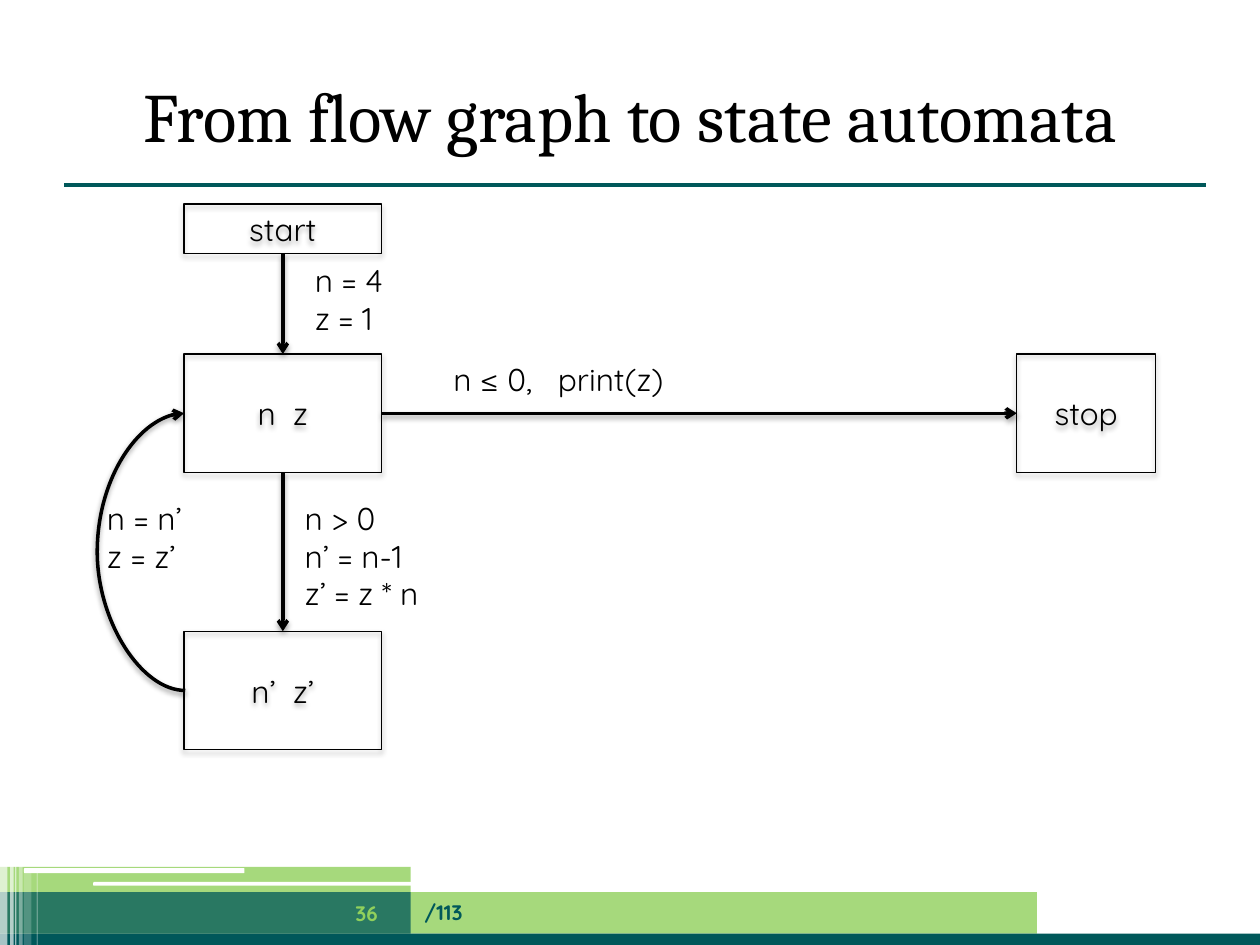
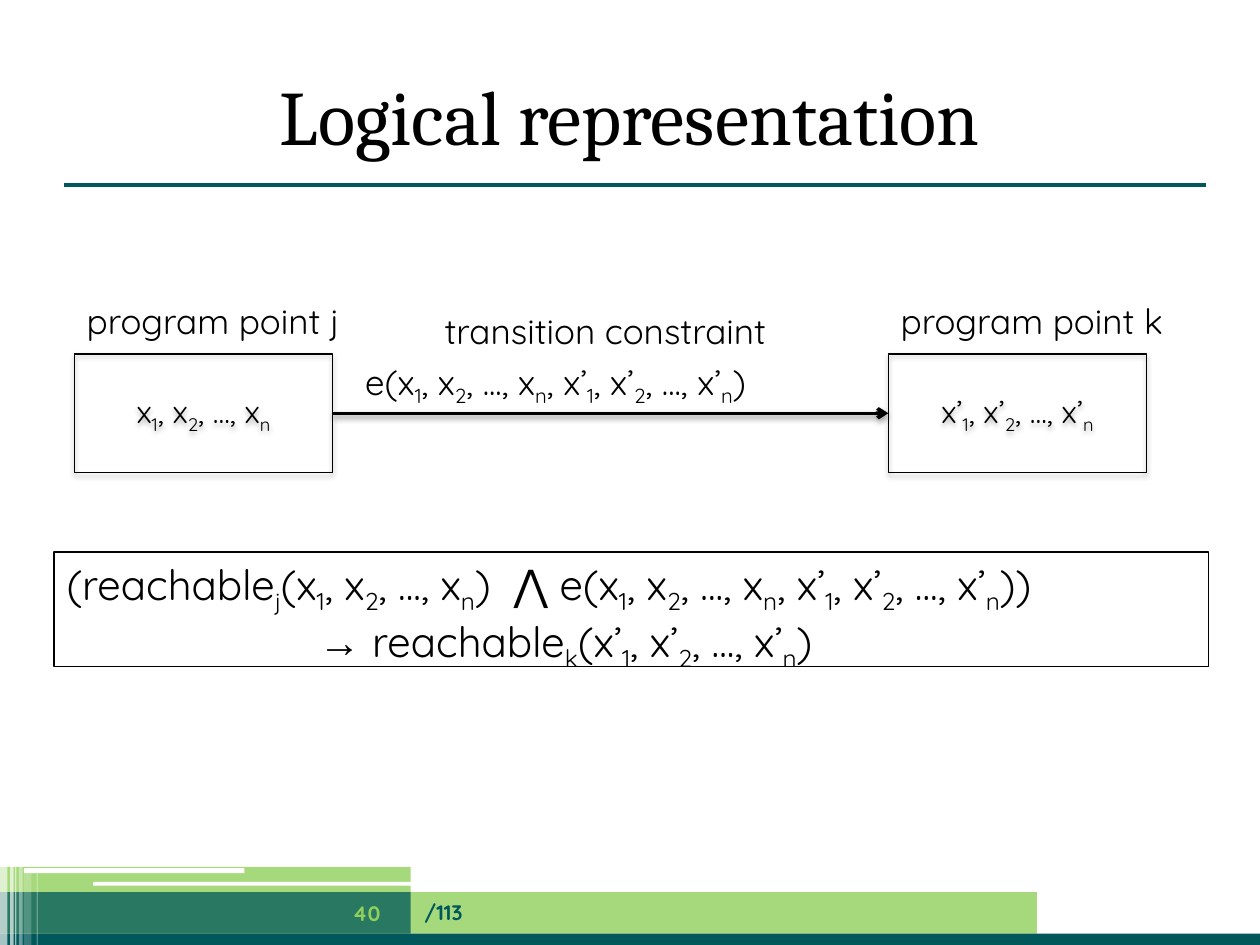
from pptx import Presentation
from pptx.dml.color import RGBColor
from pptx.enum.shapes import MSO_CONNECTOR, MSO_SHAPE
from pptx.enum.text import MSO_ANCHOR, MSO_AUTO_SIZE, PP_ALIGN
from pptx.oxml.ns import qn
from pptx.util import Inches, Pt
from lxml import etree

RECT, ROUND = MSO_SHAPE.RECTANGLE, MSO_SHAPE.ROUNDED_RECTANGLE
STRAIGHT, CURVE = MSO_CONNECTOR.STRAIGHT, MSO_CONNECTOR.CURVE
LEFT, CENTER = PP_ALIGN.LEFT, PP_ALIGN.CENTER
TOP, MIDDLE = MSO_ANCHOR.TOP, MSO_ANCHOR.MIDDLE
GROW = MSO_AUTO_SIZE.SHAPE_TO_FIT_TEXT

TEAL = RGBColor(0x00, 0x58, 0x5A)
GREEN = RGBColor(0x90, 0xD0, 0x5C)
WHITE = RGBColor(0xFF, 0xFF, 0xFF)
BLACK = RGBColor(0x00, 0x00, 0x00)

HEADING, BODY, SYMBOL = "Cambria", "Quicksand", "Arial"

BANDS = [
    (RECT, 0, 7.08, 8.23, 0.33, GREEN, 80),
    (RECT, 0, 7.41, 10, 0.09, TEAL, 100),
    (RECT, 0, 7.08, 3.26, 0.33, TEAL, 75),
    (RECT, 0, 6.88, 3.26, 0.2, GREEN, 80),
    (ROUND, 0.74, 7, 3.35, 0.03, WHITE, 100),
    (ROUND, 0.19, 6.89, 1.75, 0.04, WHITE, 100),
]
STRIPES = [(0, 6.86, 0.06, 65), (0.08, 6.86, 0.03, 65), (0.12, 6.86, 0.01, 60),
           (0.15, 6.86, 0.03, 40), (0.19, 6.9, 0.06, 20), (0.29, 6.9, 0.01, 30)]

NODE_TOP, NODE_HEIGHT = 2.81, 0.94
NODE_MIDDLE = NODE_TOP + NODE_HEIGHT / 2
STATE = "x_1, x_2, ..., x_n"
NEXT_STATE = "x’_1, x’_2, ..., x’_n"
CONSTRAINT = f"e({STATE}, {NEXT_STATE})"


def add_xml(parent, tag, **attributes):
    return etree.SubElement(parent, qn(tag), attributes)


class Deck:
    def __init__(self):
        self.prs = Presentation()
        self.prs.slide_width, self.prs.slide_height = Inches(10), Inches(7.5)
        self.s = None

    def new_slide(self, title, title_size, number):
        self.s = self.prs.slides.add_slide(self.prs.slide_layouts[6])
        for band in BANDS:
            self.band(*band)
        for x, y, w, alpha in STRIPES:
            self.band(RECT, x, y, w, 7.5 - y, WHITE, alpha)
        self.connector((0.51, 1.47), (9.57, 1.47), TEAL, 2.25)
        self.text(0.5, 0.44, 9, 0.94, [title], title_size, HEADING,
                  align=CENTER, anchor=MIDDLE)
        self.text(3.27, 7.04, 4.96, 0.4, ["/113"], 12, color=TEAL, bold=True,
                  anchor=MIDDLE)
        self.text(2.56, 7.05, 0.7, 0.4, [number], 12, color=GREEN, bold=True,
                  align=CENTER, anchor=MIDDLE)

    def shape(self, kind, x, y, w, h):
        sp = self.s.shapes.add_shape(kind, Inches(x), Inches(y), Inches(w), Inches(h))
        sp.shadow.inherit = False
        return sp

    def band(self, kind, x, y, w, h, color, alpha):
        sp = self.shape(kind, x, y, w, h)
        sp.fill.solid()
        sp.fill.fore_color.rgb = color
        sp.line.fill.background()
        if alpha < 100:
            fill = sp._element.spPr.find(qn("a:solidFill"))
            add_xml(fill[0], "a:alpha", val=str(alpha * 1000))

    def shadow(self, effects, alpha, distance):
        shadow = add_xml(effects, "a:outerShdw", blurRad="40000", dist=str(distance),
                         dir="5400000", rotWithShape="0")
        color = add_xml(shadow, "a:srgbClr", val=str(BLACK))
        add_xml(color, "a:alpha", val=str(alpha * 1000))

    def outline(self, x, y, w, h):
        sp = self.shape(RECT, x, y, w, h)
        sp.fill.background()
        sp.line.color.rgb = BLACK
        sp.line.width = Pt(0.75)
        return sp

    def node(self, x, y, w, h, label):
        sp = self.outline(x, y, w, h)
        self.shadow(sp._element.spPr.find(qn("a:effectLst")), 35, 23000)
        self.fill_frame(sp.text_frame, [label], 18, align=CENTER, anchor=MIDDLE)

    def connector(self, start, end, color=BLACK, width=2, kind=STRAIGHT):
        line = self.s.shapes.add_connector(kind, *map(Inches, start + end))
        line.line.color.rgb = color
        line.line.width = Pt(width)
        effects = add_xml(line._element.spPr, "a:effectLst")
        return line, effects

    def arrow(self, start, end, kind=STRAIGHT):
        line, effects = self.connector(start, end, kind=kind)
        add_xml(line._element.spPr.find(qn("a:ln")), "a:tailEnd", type="arrow")
        self.shadow(effects, 38, 20000)
        return line

    def loop_arrow(self, x, top, bottom, bulge):
        offset = 0.01
        line = self.arrow((x, top), (x + offset, bottom), CURVE)
        spPr = line._element.spPr
        spPr.find(qn("a:xfrm")).set("rot", "10800000")
        guides = spPr.find(qn("a:prstGeom")).find(qn("a:avLst"))
        add_xml(guides, "a:gd", name="adj1", fmla=f"val {round(bulge / offset * 100000)}")

    def text(self, x, y, w, h, lines, size, font=BODY, **style):
        box = self.s.shapes.add_textbox(Inches(x), Inches(y), Inches(w), Inches(h))
        self.fill_frame(box.text_frame, lines, size, font, **style)
        return box.text_frame

    def label(self, x, y, w, h, lines, size=18, wrap=False):
        tf = self.text(x, y, w, h, lines, size)
        tf.word_wrap = wrap
        tf.auto_size = GROW
        return tf

    def fill_frame(self, tf, lines, size, font=BODY, color=BLACK, bold=False,
                   align=LEFT, anchor=TOP):
        tf.word_wrap = True
        tf.vertical_anchor = anchor
        for i, line in enumerate(lines):
            p = tf.paragraphs[0] if i == 0 else tf.add_paragraph()
            p.alignment = align
            self.runs(p, line, size, font, color, bold)

    def runs(self, p, line, size, font=BODY, color=BLACK, bold=False):
        plain, *rest = line.split("_")
        pieces = [(plain, False)]
        for piece in rest:
            pieces += [(piece[0], True), (piece[1:], False)]
        for content, subscript in pieces:
            if not content:
                continue
            r = p.add_run()
            r.text = content
            r.font.size, r.font.name, r.font.bold = Pt(size), font, bold
            r.font.color.rgb = color
            if subscript:
                r._r.get_or_add_rPr().set("baseline", "-25000")


def flow_graph(deck):
    deck.new_slide("From flow graph to state automata", 39.6, "36")
    left, width, next_top = 1.46, 1.57, 5.01
    center = left + width / 2
    deck.node(left, NODE_TOP, width, NODE_HEIGHT, "n  z")
    deck.node(left, next_top, width, NODE_HEIGHT, "n’  z’")
    deck.arrow((center, 2.02), (center, NODE_TOP))
    deck.label(2.4, 2.02, 0.79, 0.71, ["n = 4", "z = 1"])
    deck.arrow((center, NODE_TOP + NODE_HEIGHT), (center, next_top))
    deck.label(2.32, 3.91, 1.2, 1.01, ["n > 0", "n’ = n-1", "z’ = z * n"])
    deck.loop_arrow(left, NODE_MIDDLE, next_top + NODE_HEIGHT / 2, 0.71)
    deck.label(0.75, 3.91, 0.89, 0.71, ["n = n’", "z = z’"])
    deck.arrow((left + width, NODE_MIDDLE), (8.07, NODE_MIDDLE))
    tf = deck.label(3.5, 2.81, 1.95, 0.4, [], wrap=True)
    p = tf.paragraphs[0]
    tabs = add_xml(p._p.get_or_add_pPr(), "a:tabLst")
    add_xml(tabs, "a:tab", pos=str(Inches(0.83)), algn="l")
    deck.runs(p, "n ≤ 0,\tprint(z)", 18)
    deck.node(8.07, NODE_TOP, 1.1, NODE_HEIGHT, "stop")
    deck.node(left, 1.62, width, 0.39, "start")


def logical_representation(deck):
    deck.new_slide("Logical representation", 44, "40")
    width = 2.05
    points = [(0.59, 2.3, "j", STATE), (7.05, 2.38, "k", NEXT_STATE)]
    for x, label_width, point, state in points:
        deck.node(x, NODE_TOP, width, NODE_HEIGHT, state)
        deck.label(x, 2.33, label_width, 0.44, [f"program point {point}"], 20)
    deck.arrow((0.59 + width, NODE_MIDDLE), (7.05, NODE_MIDDLE))
    deck.label(2.8, 2.81, 3.86, 0.44, [CONSTRAINT], 20, wrap=True)
    tf = deck.outline(0.43, 4.38, 9.16, 0.91).text_frame
    deck.fill_frame(tf, [f"(reachable_j({STATE})  ⋀ {CONSTRAINT})"], 24)
    tf.auto_size = GROW
    p = tf.add_paragraph()
    p.alignment = LEFT
    p._p.get_or_add_pPr().set("marL", str(Inches(2)))
    deck.runs(p, "→ ", 24, SYMBOL)
    deck.runs(p, f"reachable_k({NEXT_STATE})", 24)
    deck.label(3.43, 2.41, 2.83, 0.44, ["transition constraint"], 20)


def main():
    deck = Deck()
    flow_graph(deck)
    logical_representation(deck)
    deck.prs.save("out.pptx")


if __name__ == "__main__":
    main()
